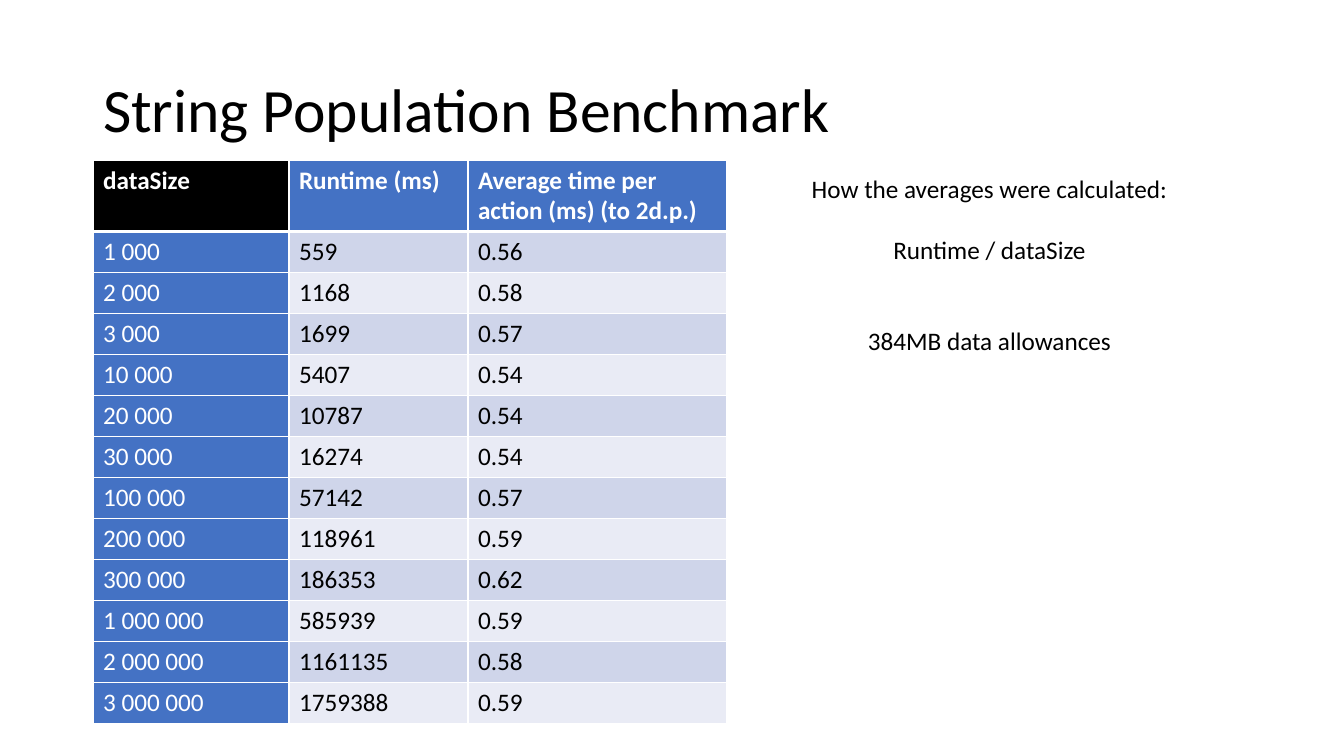
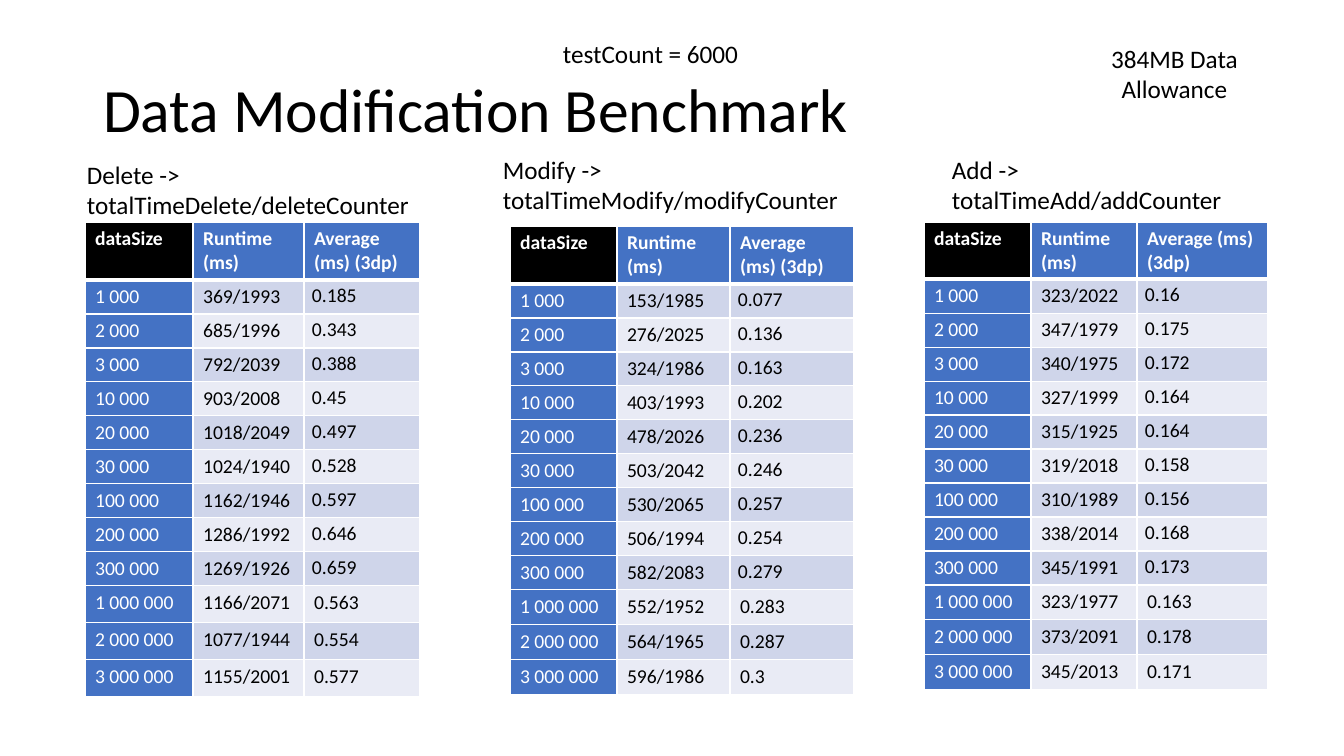
from pptx import Presentation
from pptx.dml.color import RGBColor
from pptx.enum.text import MSO_ANCHOR, MSO_AUTO_SIZE, PP_ALIGN
from pptx.util import Pt
from lxml.etree import SubElement
from pptx.oxml.ns import qn

# Content
SIZES = ["1 000", "2 000", "3 000", "10 000", "20 000", "30 000", "100 000",
         "200 000", "300 000", "1 000 000", "2 000 000", "3 000 000"]

POP_HEAD = ["dataSize", "Runtime (ms)", "Average time per action (ms) (to 2d.p.)"]
POP_TIME = ["559", "1168", "1699", "5407", "10787", "16274", "57142",
            "118961", "186353", "585939", "1161135", "1759388"]
POP_MEAN = ["0.56", "0.58", "0.57", "0.54", "0.54", "0.54", "0.57",
            "0.59", "0.62", "0.59", "0.58", "0.59"]
# Each note line with the space before it in points
POP_NOTE = [("How the averages were calculated:", 0),
            ("Runtime / dataSize", 22),
            ("384MB data allowances", 44)]

MOD_HEAD = ["dataSize", "Runtime (ms)", "Average (ms) (3dp)"]
MODS = [
    dict(note="Delete -> totalTimeDelete/deleteCounter", box=(77, 154, 344, 72),
         at=(85, 222), cols=(108, 111, 116), rows=(58, 34, 37),
         time=["369/1993", "685/1996", "792/2039", "903/2008", "1018/2049",
               "1024/1940", "1162/1946", "1286/1992", "1269/1926",
               "1166/2071", "1077/1944", "1155/2001"],
         mean=["0.185", "0.343", "0.388", "0.45", "0.497", "0.528", "0.597",
               "0.646", "0.659", "0.563", "0.554", "0.577"]),
    dict(note="Modify -> totalTimeModify/modifyCounter", box=(493, 149, 369, 72),
         at=(510, 226), cols=(107, 113, 124), rows=(58, 34, 35),
         time=["153/1985", "276/2025", "324/1986", "403/1993", "478/2026",
               "503/2042", "530/2065", "506/1994", "582/2083",
               "552/1952", "564/1965", "596/1986"],
         mean=["0.077", "0.136", "0.163", "0.202", "0.236", "0.246", "0.257",
               "0.254", "0.279", "0.283", "0.287", "0.3"]),
    dict(note="Add -> totalTimeAdd/addCounter", box=(942, 149, 355, 72),
         at=(924, 222), cols=(107, 106, 131), rows=(57, 34, 35),
         time=["323/2022", "347/1979", "340/1975", "327/1999", "315/1925",
               "319/2018", "310/1989", "338/2014", "345/1991",
               "323/1977", "373/2091", "345/2013"],
         mean=["0.16", "0.175", "0.172", "0.164", "0.164", "0.158", "0.156",
               "0.168", "0.173", "0.163", "0.178", "0.171"]),
]

# Shared look
FONT = "Calibri"
BLACK = RGBColor(0x00, 0x00, 0x00)
WHITE = RGBColor(0xFF, 0xFF, 0xFF)
BLUE = RGBColor(0x44, 0x72, 0xC4)
BANDS = [RGBColor(0xE9, 0xEB, 0xF5), RGBColor(0xCF, 0xD5, 0xEA)]
TIGHT = (8, 4, 1, 0)
TAIL = 3  # last rows of a table that have their own height


def px(n):
    return round(n * 914400 / 100.8)


def write(para, text, size, color=BLACK, bold=False):
    run = para.add_run()
    run.text = text
    font = run.font
    font.name, font.size, font.bold = FONT, Pt(size), bold
    font.color.rgb = color


def start(title):
    slide = deck.slides.add_slide(deck.slide_layouts[5])
    head = slide.shapes.title
    head.left, head.top, head.width, head.height = map(px, (93, 40, 1159, 146))
    frame = head.text_frame
    frame.auto_size = MSO_AUTO_SIZE.NONE
    frame.vertical_anchor = MSO_ANCHOR.MIDDLE
    para = frame.paragraphs[0]
    para.alignment, para.line_spacing = PP_ALIGN.LEFT, 0.9
    write(para, title, 44)
    return slide


def note(slide, box, lines, align=PP_ALIGN.LEFT):
    frame = slide.shapes.add_textbox(*map(px, box)).text_frame
    frame.word_wrap = True
    frame.auto_size = MSO_AUTO_SIZE.SHAPE_TO_FIT_TEXT
    for i, (text, gap) in enumerate(lines):
        para = frame.add_paragraph() if i else frame.paragraphs[0]
        para.alignment, para.space_before = align, Pt(gap)
        write(para, text, 18)


def edge(cell, row):
    props = cell._tc.get_or_add_tcPr()
    wide = {"lnB": row == 0, "lnT": row == 1}
    for side in ("lnL", "lnR", "lnT", "lnB"):
        width = Pt(3 if wide.get(side) else 1)
        line = SubElement(props, qn("a:" + side), w=str(width))
        fill = SubElement(line, qn("a:solidFill"))
        SubElement(fill, qn("a:srgbClr"), val=str(WHITE))


def grid(slide, at, cols, rows, head, time, mean, size, tight=False):
    data = [head, *zip(SIZES, time, mean)]
    top, mid, end = rows
    body = len(SIZES) - TAIL
    tall = [top] + [mid] * body + [end] * TAIL
    table = slide.shapes.add_table(len(data), len(cols), *map(
        px, (*at, sum(cols), sum(tall)))).table
    for col, width in zip(table.columns, cols):
        col.width = px(width)
    for r, (texts, height) in enumerate(zip(data, tall)):
        table.rows[r].height = px(height)
        for c, text in enumerate(texts):
            cell = table.cell(r, c)
            edge(cell, r)
            dark = r == 0 or c == 0
            cell.fill.solid()
            cell.fill.fore_color.rgb = (
                BLACK if r == c == 0 else BLUE if dark else BANDS[r % 2])
            if tight and c == 2 and 0 < r <= body:
                (cell.margin_left, cell.margin_top,
                 cell.margin_right, cell.margin_bottom) = map(px, TIGHT)
            write(cell.text_frame.paragraphs[0], text, size,
                  WHITE if dark else BLACK, r == 0)


deck = Presentation()
deck.slide_width, deck.slide_height = px(1344), px(756)

# Population slide
slide = start("String Population Benchmark")
grid(slide, (93, 160), (196, 179, 259), (71, 41, 41),
     POP_HEAD, POP_TIME, POP_MEAN, 18)
note(slide, (744, 168, 491, 194), POP_NOTE, PP_ALIGN.CENTER)

# Modification slide
slide = start("Data Modification Benchmark")
for mod in MODS:
    grid(slide, mod["at"], mod["cols"], mod["rows"],
         MOD_HEAD, mod["time"], mod["mean"], 14, tight=True)
    note(slide, mod["box"], [(mod["note"], 0)])
note(slide, (553, 33, 219, 40), [("testCount = 6000", 0)])
note(slide, (1065, 38, 219, 72), [("384MB Data Allowance", 0)], PP_ALIGN.CENTER)

deck.save("out.pptx")
